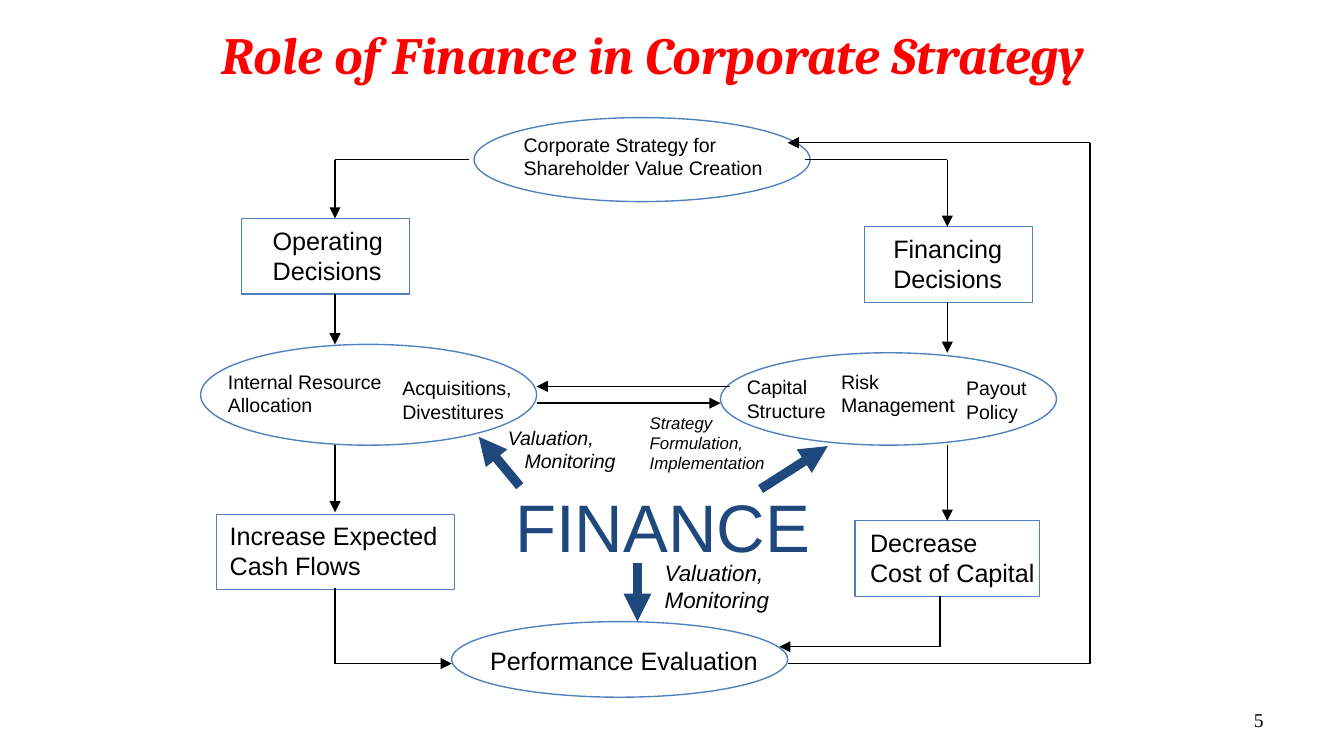
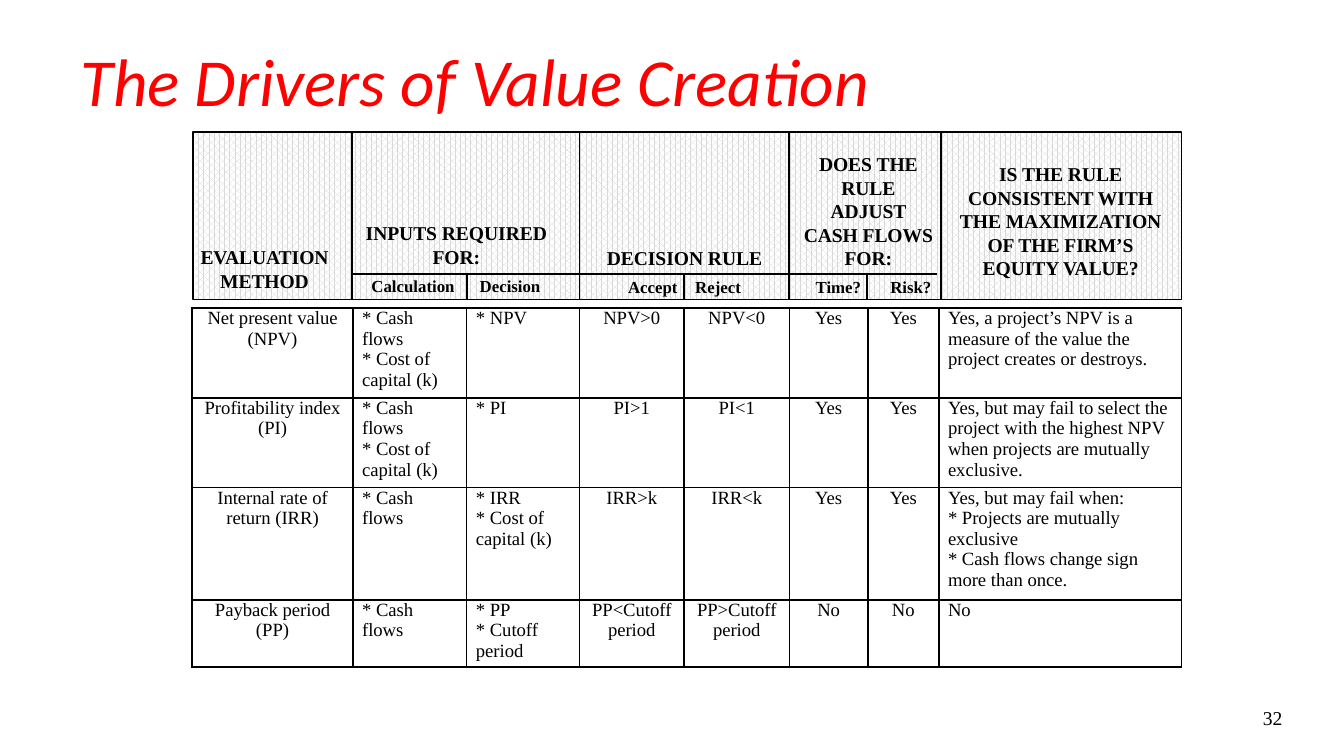
from lxml.etree import SubElement
from pptx import Presentation
from pptx.dml.color import RGBColor as RGB
from pptx.enum.dml import MSO_PATTERN
from pptx.enum.shapes import MSO_CONNECTOR, MSO_SHAPE
from pptx.enum.text import MSO_ANCHOR, PP_ALIGN
from pptx.oxml.ns import qn
from pptx.util import Pt

COLORS = {
    "title": "FF0000",
    "text": "000000",
    "outline": "4F81BD",
    "finance": "1F497D",
    "pattern": "D9D9D9",
    "white": "FFFFFF",
}
SERIF = "Times New Roman"


def write(frame, text, size=10.5, font="Arial", color="text", bold=False, italic=False,
          align=PP_ALIGN.LEFT, wrap=None, anchor=None, before=0, tabs=()):
    """Add one paragraph per line of text, after any text already in the frame."""
    if wrap is not None:
        frame.word_wrap = wrap
    if anchor is not None:
        frame.vertical_anchor = anchor
    for line in text.split("\n"):
        para = frame.add_paragraph() if frame.text else frame.paragraphs[0]
        if tabs:
            stops = SubElement(para._p.get_or_add_pPr(), qn("a:tabLst"))
            for stop in tabs:
                SubElement(stops, qn("a:tab"), pos=str(Pt(stop)), algn="l")
        para.alignment = align
        para.space_before = Pt(before)
        span = para.add_run()
        span.text = line
        span.font.name = font
        span.font.size = Pt(size)
        span.font.bold = bold
        span.font.italic = italic
        span.font.color.rgb = RGB.from_string(COLORS[color])


def draw_route(page, points, color="text", width=0.75, arrow=True):
    """Join the points with straight lines; the last one may carry an arrowhead."""
    for start, end in zip(points, points[1:]):
        line = page.shapes.add_connector(MSO_CONNECTOR.STRAIGHT, *map(Pt, start + end))
        line.line.color.rgb = RGB.from_string(COLORS[color])
        line.line.width = Pt(width)
        SubElement(line._element.spPr, qn("a:effectLst"))
    if arrow:
        SubElement(line.line._get_or_add_ln(), qn("a:tailEnd"), type="triangle")


deck = Presentation()
deck.slide_width, deck.slide_height = Pt(720), Pt(405)

# Titles and page numbers
pages = []
for title, title_at, title_format, number, number_at in [
    ("Role of Finance in Corporate Strategy", (111.5, 18, 518, 21),
     {"size": 28, "font": "Cambria", "bold": True}, "5", (516, 375, 168, 21.5)),
    ("The Drivers of Value Creation", (36, 8.5, 648, 68),
     {"size": 36, "font": "Calibri"}, "32", (526, 374, 168, 21.5)),
]:
    page = deck.slides.add_slide(deck.slide_layouts[6])
    pages.append(page)
    box = page.shapes.add_textbox(*map(Pt, title_at))
    write(box.text_frame, title, color="title", italic=True, wrap=True,
          anchor=MSO_ANCHOR.MIDDLE, **title_format)
    box = page.shapes.add_textbox(*map(Pt, number_at))
    write(box.text_frame, number, font=SERIF, align=PP_ALIGN.RIGHT, wrap=True,
          anchor=MSO_ANCHOR.MIDDLE)
diagram, drivers = pages

# Slide 1: flow diagram
for kind, *place in [
    (MSO_SHAPE.OVAL, 254, 63, 180, 45),
    (MSO_SHAPE.OVAL, 107.5, 184.5, 180, 54),
    (MSO_SHAPE.OVAL, 386, 189, 180, 49.5),
    (MSO_SHAPE.OVAL, 242, 333, 180, 40.5),
    (MSO_SHAPE.RECTANGLE, 129.5, 117, 90, 40.5),
    (MSO_SHAPE.RECTANGLE, 463, 121.5, 90, 40.5),
    (MSO_SHAPE.RECTANGLE, 458, 279, 99, 40.5),
    (MSO_SHAPE.RECTANGLE, 116, 275.5, 127.5, 40.5),
]:
    node = diagram.shapes.add_shape(kind, *map(Pt, place))
    node.shadow.inherit = False
    node.fill.background()
    node.line.color.rgb = RGB.from_string(COLORS["outline"])
    node.line.width = Pt(0.75)

for points in [
    [(251.5, 85.5), (179.5, 85.5), (179.5, 117)],
    [(179.5, 157.5), (179.5, 184.5)],
    [(179.5, 238.5), (179.5, 274.5)],
    [(179.5, 315), (179.5, 355.5), (242, 355.5)],
    [(431.5, 85.5), (507.5, 85.5), (507.5, 121.5)],
    [(507.5, 162), (507.5, 189)],
    [(507.5, 238.5), (507.5, 279)],
    [(503.5, 319.5), (503.5, 346.5), (417.5, 346.5)],
    [(422, 355.5), (584, 355.5), (584, 76.5), (422, 76.5)],
    [(287.5, 216), (386, 216)],
    [(391, 207), (287.5, 207)],
]:
    draw_route(diagram, points)

for points in [
    [(341.5, 301.5), (341.5, 333)],
    [(407.5, 262), (443.5, 239)],
    [(278.5, 260.5), (256.5, 234)],
]:
    draw_route(diagram, points, color="finance", width=5)

large = {"size": 13.5}
for text, place, style in [
    ("Corporate Strategy for\nShareholder Value Creation", (273.5, 67.5, 146, 32.5), {}),
    ("Operating\nDecisions", (139, 117, 74, 40.5), large),
    ("Increase Expected\nCash Flows", (116, 275, 127.5, 40.5), large),
    ("Performance Evaluation", (255.5, 342, 160, 24), large),
    ("Decrease\nCost of Capital", (459, 279, 104, 40.5), large),
    ("Financing\nDecisions", (471.5, 121.5, 74, 40.5), large),
    ("Internal Resource\nAllocation", (115, 194.5, 99, 32.5), {}),
    ("Acquisitions,\nDivestitures", (208.5, 198, 74, 32.5), {}),
    ("Capital\nStructure", (393, 197.5, 58, 32.5), {}),
    ("Risk\nManagement", (443.5, 194.5, 76, 32.5), {}),
    ("Payout\nPolicy", (510.5, 198, 47.5, 32.5), {}),
    ("FINANCE", (269, 256.5, 174, 51), {"size": 36, "color": "finance"}),
    ("Valuation,\nMonitoring", (349, 296, 71, 36), {"size": 12, "italic": True}),
    ("Valuation,\n\tMonitoring", (265, 224.5, 73, 32.5), {"italic": True, "tabs": [9]}),
    ("Strategy\nFormulation,\nImplementation", (341, 217.5, 80, 40.5),
     {"size": 9, "italic": True}),
]:
    box = diagram.shapes.add_textbox(*map(Pt, place))
    write(box.text_frame, text, wrap=False, **style)

# Slide 2: two-level header above the table
band = drivers.shapes.add_shape(MSO_SHAPE.RECTANGLE, Pt(103.5), Pt(70.5), Pt(529.5), Pt(90))
band.shadow.inherit = False
band.fill.patterned()
band.fill.pattern = MSO_PATTERN.PERCENT_75
band.fill.fore_color.rgb = RGB.from_string(COLORS["pattern"])
band.fill.back_color.rgb = RGB.from_string(COLORS["white"])
band.line.color.rgb = RGB.from_string(COLORS["text"])
band.line.width = Pt(1)

for heading, subheading, tabs, place in [
    ("EVALUATION METHOD", "", (), (98.5, 128.5, 86.5, 31)),
    ("INPUTS REQUIRED FOR:", "\tCalculation\tDecision", (15.5, 73.5),
     (178.5, 115.5, 132, 47)),
    ("DECISION RULE", "\tAccept\tReject", (26, 62), (305.5, 128.5, 122.5, 35)),
    ("DOES THE RULE ADJUST CASH FLOWS FOR:", "\tTime?\tRisk?", (7, 47),
     (425, 78.5, 80.5, 85)),
    ("IS THE RULE CONSISTENT WITH THE MAXIMIZATION OF THE FIRM’S EQUITY VALUE?", "", (),
     (508.5, 84, 119.5, 81.5)),
]:
    frame = drivers.shapes.add_textbox(*map(Pt, place)).text_frame
    frame.margin_left = frame.margin_right = Pt(5)
    frame.margin_top = frame.margin_bottom = Pt(3)
    write(frame, heading, font=SERIF, bold=True, align=PP_ALIGN.CENTER, wrap=True)
    if subheading:
        write(frame, subheading, size=9, font=SERIF, bold=True, before=4, tabs=tabs)

for x in (188.5, 310.5, 422.5, 504):
    draw_route(drivers, [(x, 160.5), (x, 70.5)], width=1, arrow=False)
draw_route(drivers, [(188.5, 147), (502, 147)], width=1, arrow=False)
for x in (250, 366.5, 464.5):
    draw_route(drivers, [(x, 147.5), (x, 161)], width=1, arrow=False)

rows = [
    ["Net present value (NPV)", "* Cash flows\n* Cost of capital (k)", "* NPV",
     "NPV>0", "NPV<0", "Yes", "Yes",
     "Yes, a project’s NPV is a measure of the value the project creates or destroys."],
    ["Profitability index (PI)", "* Cash flows\n* Cost of capital (k)", "* PI",
     "PI>1", "PI<1", "Yes", "Yes",
     "Yes, but may fail to select the project with the highest NPV when projects are "
     "mutually exclusive."],
    ["Internal rate of return (IRR)", "* Cash flows", "* IRR\n* Cost of capital (k)",
     "IRR>k", "IRR<k", "Yes", "Yes",
     "Yes, but may fail when:\n* Projects are mutually exclusive\n"
     "* Cash flows change sign more than once."],
    ["Payback period (PP)", "* Cash flows", "* PP\n* Cutoff period",
     "PP<Cutoff period", "PP>Cutoff period", "No", "No", "No"],
]
widths = [86, 61, 60.5, 56, 56.5, 42, 38, 130]
heights = [48, 48, 60, 36]
left_aligned = {1, 2, 7}

table = drivers.shapes.add_table(len(rows), len(widths), Pt(103), Pt(165),
                                 Pt(sum(widths)), Pt(sum(heights))).table
table.first_row = table.horz_banding = False
for column, width in zip(table.columns, widths):
    column.width = Pt(width)
for r, (row, height) in enumerate(zip(rows, heights)):
    table.rows[r].height = Pt(height)
    for c, text in enumerate(row):
        cell = table.cell(r, c)
        cell.margin_left = cell.margin_right = Pt(5)
        cell.margin_top = cell.margin_bottom = 0
        for side in ("lnL", "lnR", "lnT", "lnB"):
            border = SubElement(cell._tc.get_or_add_tcPr(), qn(f"a:{side}"), w=str(Pt(1)))
            SubElement(SubElement(border, qn("a:solidFill")), qn("a:srgbClr"),
                       val=COLORS["text"])
        cell.fill.background()
        write(cell.text_frame, text, size=10, font=SERIF,
              align=PP_ALIGN.LEFT if c in left_aligned else PP_ALIGN.CENTER)

deck.save("out.pptx")
